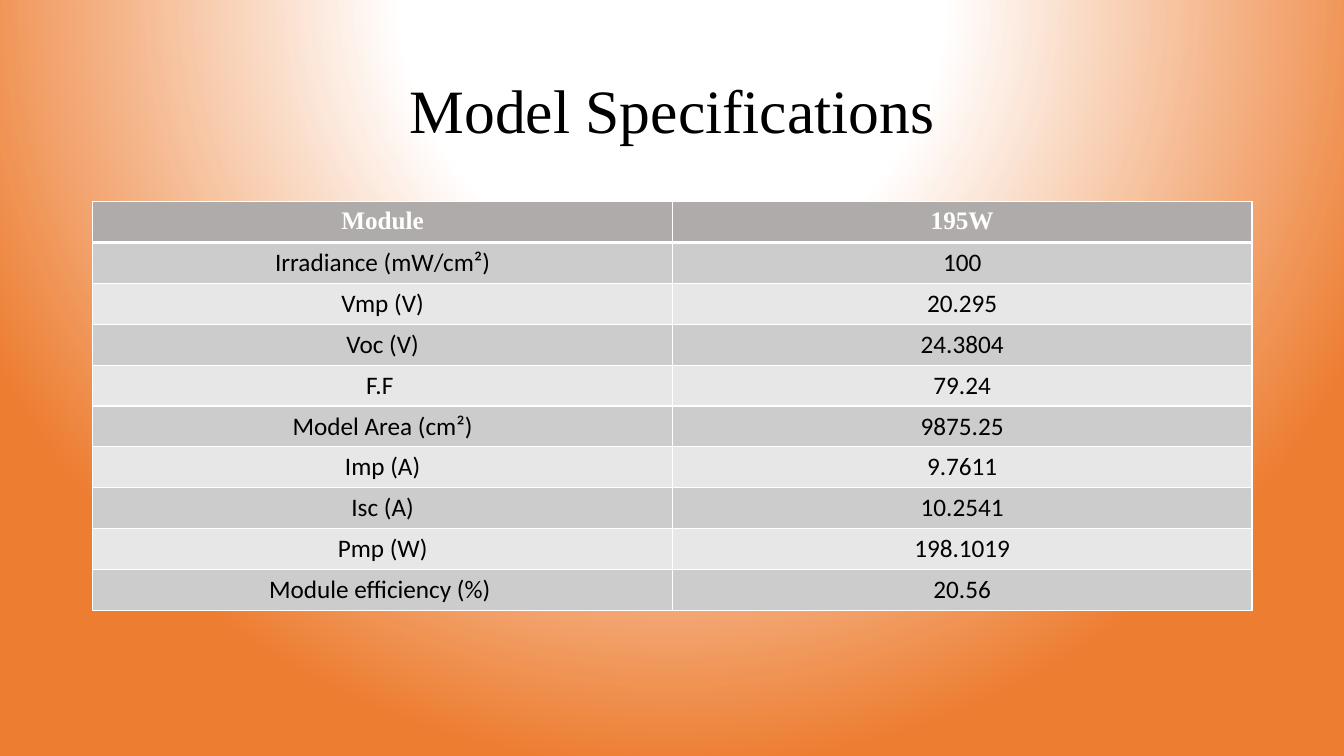
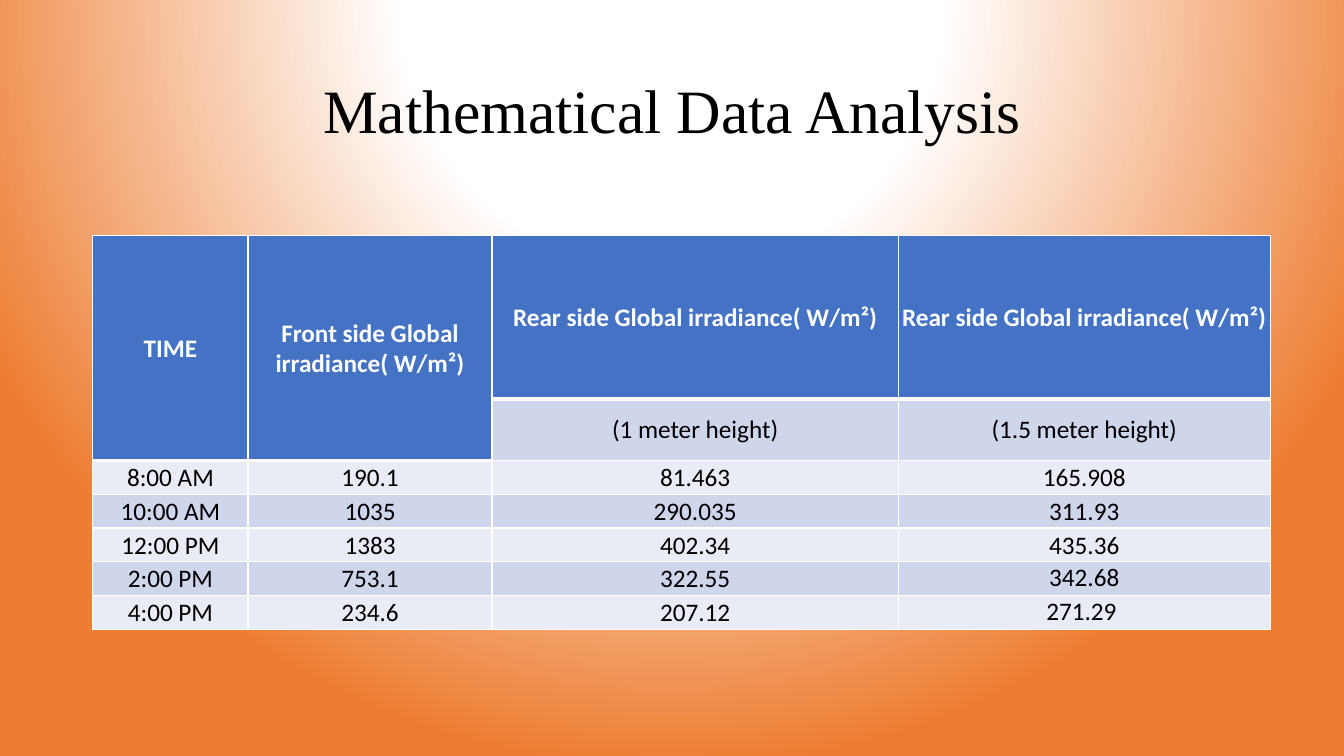
from dataclasses import dataclass

from lxml import etree
from pptx import Presentation
from pptx.dml.color import RGBColor
from pptx.enum.text import MSO_ANCHOR, PP_ALIGN
from pptx.oxml import parse_xml
from pptx.oxml.ns import nsdecls, qn
from pptx.util import Cm, Pt

CENTER = PP_ALIGN.CENTER
TOP, MIDDLE = MSO_ANCHOR.TOP, MSO_ANCHOR.MIDDLE
BLANK_LAYOUT = 6


@dataclass(frozen=True)
class Theme:
    white: str = "FFFFFF"
    black: str = "000000"
    glow: str = "ED7D31"
    serif: str = "Times New Roman"
    sans: str = "Calibri"
    title_size: int = 44
    table_size: int = 18
    thin_rule: int = 1
    header_rule: int = 3


@dataclass(frozen=True)
class TableStyle:
    header_fill: str
    bands: tuple
    header_font: str
    anchor: int
    margins: dict


THEME = Theme()
GREY_TABLE = TableStyle("AFABAB", ("CCCCCC", "E7E7E7"), THEME.serif, TOP, {})
BLUE_TABLE = TableStyle(
    "4472C4", ("CFD5EA", "E9EBF5"), THEME.sans, MIDDLE,
    {"margin_left": Cm(0.03), "margin_top": Cm(0.03),
     "margin_right": Cm(0.03), "margin_bottom": Cm(0)})

# Boxes are left, top, width, height in centimetres
TITLE_BOX = (2.34, 1.02, 29.21, 3.68)

SPECIFICATIONS = [
    ("Module", "195W"),
    ("Irradiance (mW/cm²)", "100"),
    ("Vmp (V)", "20.295"),
    ("Voc (V)", "24.3804"),
    ("F.F ", "79.24"),
    ("Model Area (cm²)", "9875.25"),
    ("Imp (A)", "9.7611"),
    ("Isc (A)", "10.2541"),
    ("Pmp (W)", "198.1019"),
    ("Module efficiency (%) ", "20.56"),
]

REAR_HEADING = "Rear side Global irradiance( W/m²)"
IRRADIANCE = [
    ("TIME", "Front side Global irradiance( W/m²)", REAR_HEADING, REAR_HEADING),
    ("", "", "(1 meter height)", "(1.5 meter height)"),
    ("8:00 AM", "190.1", "81.463", "165.908"),
    ("10:00 AM", "1035", "290.035", "311.93"),
    ("12:00 PM", "1383", "402.34", "435.36"),
    ("2:00 PM", "753.1", "322.55", "342.68"),
    ("4:00 PM", "234.6", "207.12", "271.29 "),
]


def apply_format(target, values):
    for name, value in values.items():
        setattr(target, name, value)


def write_text(frame, text, color, **font_values):
    paragraph = frame.paragraphs[0]
    paragraph.alignment = CENTER
    if text:
        run = paragraph.add_run()
        run.text = text
        apply_format(run.font, font_values)
        run.font.color.rgb = RGBColor.from_string(color)
    return paragraph


def set_background(master):
    """Glow from above the slide, shared by every slide."""
    stops = "".join(
        f'<a:gs pos="{percent * 1000}"><a:srgbClr val="{color}"/></a:gs>'
        for percent, color in ((0, THEME.white), (35, THEME.white), (100, THEME.glow)))
    background = parse_xml(
        f'<p:bg {nsdecls("p", "a")}><p:bgPr><a:gradFill rotWithShape="1">'
        f'<a:gsLst>{stops}</a:gsLst><a:path path="circle">'
        '<a:fillToRect l="50000" t="-80000" r="50000" b="180000"/></a:path>'
        '</a:gradFill><a:effectLst/></p:bgPr></p:bg>')
    content = master.element.find(qn("p:cSld"))
    for previous in content.findall(qn("p:bg")):
        content.remove(previous)
    content.insert(0, background)


def add_title(slide, box, text):
    frame = slide.shapes.add_textbox(*map(Cm, box)).text_frame
    apply_format(frame, {"word_wrap": True, "vertical_anchor": MIDDLE})
    heading = write_text(frame, text, THEME.black,
                         name=THEME.serif, size=Pt(THEME.title_size))
    heading.line_spacing = 0.9


def add_borders(cell, widths):
    """Draw white rules; widths maps L, R, T, B (in that order) to points."""
    properties = cell._tc.get_or_add_tcPr()
    for side, width in widths.items():
        rule = etree.SubElement(properties, qn(f"a:ln{side}"), w=str(Pt(width)))
        fill = etree.SubElement(rule, qn("a:solidFill"))
        etree.SubElement(fill, qn("a:srgbClr"), val=THEME.white)


def format_cell(cell, text, style, is_header, band):
    borders = {"L": THEME.thin_rule, "R": THEME.thin_rule}
    if is_header:
        borders.update(T=THEME.thin_rule, B=THEME.header_rule)
    else:
        borders["B"] = THEME.thin_rule
    add_borders(cell, borders)
    fill = style.header_fill if is_header else style.bands[band]
    cell.fill.solid()
    cell.fill.fore_color.rgb = RGBColor.from_string(fill)
    apply_format(cell, {"vertical_anchor": style.anchor, **style.margins})
    write_text(cell.text_frame, text, THEME.white if is_header else THEME.black,
               name=style.header_font if is_header else THEME.sans,
               size=Pt(THEME.table_size), bold=is_header)


def add_data_table(slide, origin, widths, heights, rows, style, tall_headers=()):
    """Place a banded table; tall_headers are columns whose heading spans two rows."""
    box = (*origin, sum(widths), sum(heights))
    table = slide.shapes.add_table(len(rows), len(widths), *map(Cm, box)).table
    table.horz_banding = False
    for column, width in zip(table.columns, widths):
        column.width = Cm(width)
    for row, height in zip(table.rows, heights):
        row.height = Cm(height)
    for r, texts in enumerate(rows):
        for c, text in enumerate(texts):
            is_header = r == 0 or (r == 1 and c in tall_headers)
            format_cell(table.cell(r, c), text, style, is_header, (r - 1) % 2)
    for c in tall_headers:
        table.cell(0, c).merge(table.cell(1, c))
    return table


def build_specifications(slide):
    add_title(slide, TITLE_BOX, "Model Specifications")
    left, _, width, _ = TITLE_BOX
    add_data_table(slide, (left, 5.08), [width / 2] * 2,
                   [1.03] * len(SPECIFICATIONS), SPECIFICATIONS, GREY_TABLE)


def build_irradiance(slide):
    add_title(slide, TITLE_BOX, "Mathematical Data Analysis")
    heights = [4.11, 1.55] + [0.85] * (len(IRRADIANCE) - 2)
    table = add_data_table(slide, (TITLE_BOX[0], 5.94), [3.91, 6.15, 10.24, 9.37],
                           heights, IRRADIANCE, BLUE_TABLE, tall_headers=(0, 1))
    # The two afternoon readings at 1.5 m sit at the top of their cells
    for r in (5, 6):
        table.cell(r, 3).vertical_anchor = TOP


def main():
    deck = Presentation()
    apply_format(deck, {"slide_width": Cm(33.87), "slide_height": Cm(19.05)})
    set_background(deck.slide_master)
    for build in (build_specifications, build_irradiance):
        build(deck.slides.add_slide(deck.slide_layouts[BLANK_LAYOUT]))
    deck.save("out.pptx")


if __name__ == "__main__":
    main()
